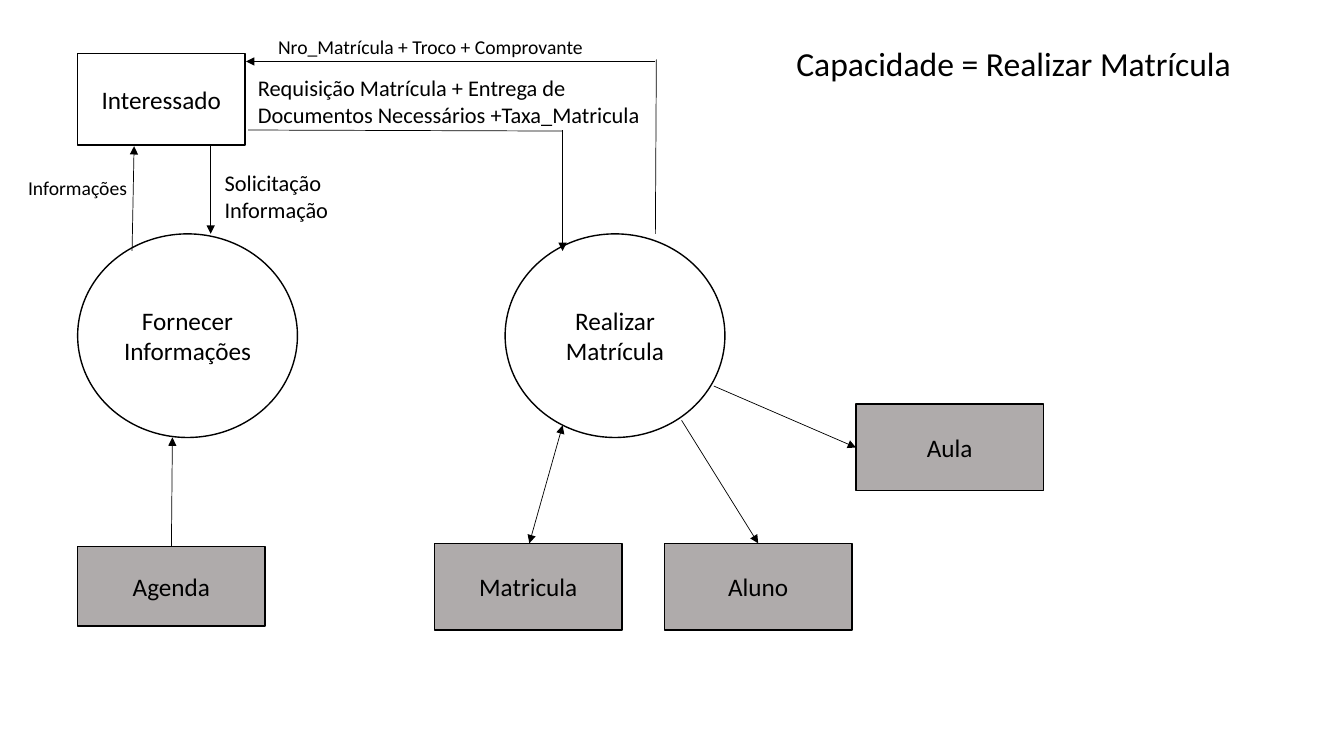
from lxml.etree import SubElement
from pptx import Presentation
from pptx.dml.color import RGBColor
from pptx.enum.shapes import MSO_CONNECTOR, MSO_SHAPE
from pptx.enum.text import MSO_ANCHOR, PP_ALIGN
from pptx.oxml.ns import qn
from pptx.util import Inches, Pt

COLORS = {"ink": "000000", "paper": "FFFFFF", "store": "AFABAB"}
CIRCLE = (2.18, 2.02)
STORE = (1.86, 0.86)


def rgb(name):
    """Return the named colour."""
    return RGBColor.from_string(COLORS[name])


def write(frame, text, size, align, anchor):
    """Fill a text frame, one paragraph per line of text."""
    frame.text = text
    for attribute, value in {"word_wrap": True, "vertical_anchor": anchor}.items():
        setattr(frame, attribute, value)
    for paragraph in frame.paragraphs:
        paragraph.alignment = align
        for attribute, value in {"size": Pt(size), "name": "Calibri"}.items():
            setattr(paragraph.font, attribute, value)
        paragraph.font.color.rgb = rgb("ink")


def place(region, left, top, width, height):
    """Turn a box inside a region into slide lengths."""
    return [Inches(n) for n in (region[0] + left, region[1] + top, width, height)]


def add_node(slide, region, box, text, fill="paper", outline=MSO_SHAPE.RECTANGLE):
    """Add an entity, process or data store."""
    node = slide.shapes.add_shape(outline, *place(region, *box))
    node.shadow.inherit = False
    node.fill.solid()
    node.fill.fore_color.rgb = rgb(fill)
    node.line.color.rgb = rgb("ink")
    node.line.width = Pt(1)
    write(node.text_frame, text, 18, PP_ALIGN.CENTER, MSO_ANCHOR.MIDDLE)


def add_label(slide, region, box, text, size):
    """Add a caption."""
    label = slide.shapes.add_textbox(*place(region, *box))
    write(label.text_frame, text, size, PP_ALIGN.LEFT, MSO_ANCHOR.TOP)


def add_flow(slide, region, start, end, arrows=("tailEnd",)):
    """Draw a data flow with arrowheads at the listed ends."""
    left, top = region
    points = [Inches(n) for x, y in (start, end) for n in (left + x, top + y)]
    flow = slide.shapes.add_connector(MSO_CONNECTOR.STRAIGHT, *points)
    flow.line.color.rgb = rgb("ink")
    flow.line.width = Pt(0.5)
    properties = flow._element.spPr
    for arrow in arrows:
        SubElement(properties.find(qn("a:ln")), qn(f"a:{arrow}"), type="triangle")
    SubElement(properties, qn("a:effectLst"))


def add_information(slide, region):
    """Place the applicant, the information process and the agenda."""
    add_node(slide, region, (0.59, 0, 1.66, 0.91), "Interessado")
    add_node(slide, region, (0.59, 1.79, *CIRCLE), "Fornecer Informações",
             outline=MSO_SHAPE.OVAL)
    add_node(slide, region, (0.59, 4.89, 1.86, 0.79), "Agenda", "store")
    add_label(slide, region, (0, 1.17, 1.91, 0.34), "Informações", 14)
    add_label(slide, region, (1.95, 1.1, 3, 0.64), "Solicitação\nInformação", 16)
    for start, end in (((1.13, 1.96), (1.15, 0.92)),
                       ((1.91, 0.92), (1.91, 1.79)),
                       ((1.52, 4.89), (1.53, 3.81))):
        add_flow(slide, region, start, end)


def add_enrolment(slide, region):
    """Place the enrolment process with its data stores."""
    add_node(slide, region, (0.7, 0, *CIRCLE), "Realizar\nMatrícula",
             outline=MSO_SHAPE.OVAL)
    for store, left, top in (("Matricula", 0, 3.07), ("Aluno", 2.28, 3.07),
                             ("Aula", 4.18, 1.69)):
        add_node(slide, region, (left, top, *STORE), store, "store")
    add_flow(slide, region, (0.94, 3.07), (1.27, 1.9), ("headEnd", "tailEnd"))
    add_flow(slide, region, (2.45, 1.85), (3.21, 3.07))
    add_flow(slide, region, (2.77, 1.51), (4.18, 2.12))


def add_exchange(slide, region):
    """Place the flows between the applicant and the enrolment process."""
    add_label(slide, region, (0.22, 0, 3.7, 0.34),
              "Nro_Matrícula + Troco + Comprovante", 14)
    add_label(slide, region, (0.02, 0.39, 4.34, 0.64),
              "Requisição Matrícula + Entrega de Documentos Necessários +Taxa_Matricula",
              16)
    add_flow(slide, region, (4.07, 0.29), (4.06, 2.02), ())
    add_flow(slide, region, (4.06, 0.31), (0, 0.31))
    add_flow(slide, region, (0.02, 0.99), (3.14, 1), ())
    add_flow(slide, region, (3.14, 0.99), (3.14, 2.19))


def main():
    """Build and save the data flow diagram."""
    deck = Presentation()
    deck.slide_width, deck.slide_height = Inches(13.33), Inches(7.5)
    slide = deck.slides.add_slide(deck.slide_layouts[6])
    add_information(slide, (0.18, 0.53))
    add_enrolment(slide, (4.31, 2.32))
    add_exchange(slide, (2.44, 0.3))
    add_label(slide, (7.8, 0.38), (0, 0, 4.6, 0.5),
              "Capacidade = Realizar Matrícula", 24)
    deck.save("out.pptx")


if __name__ == "__main__":
    main()
